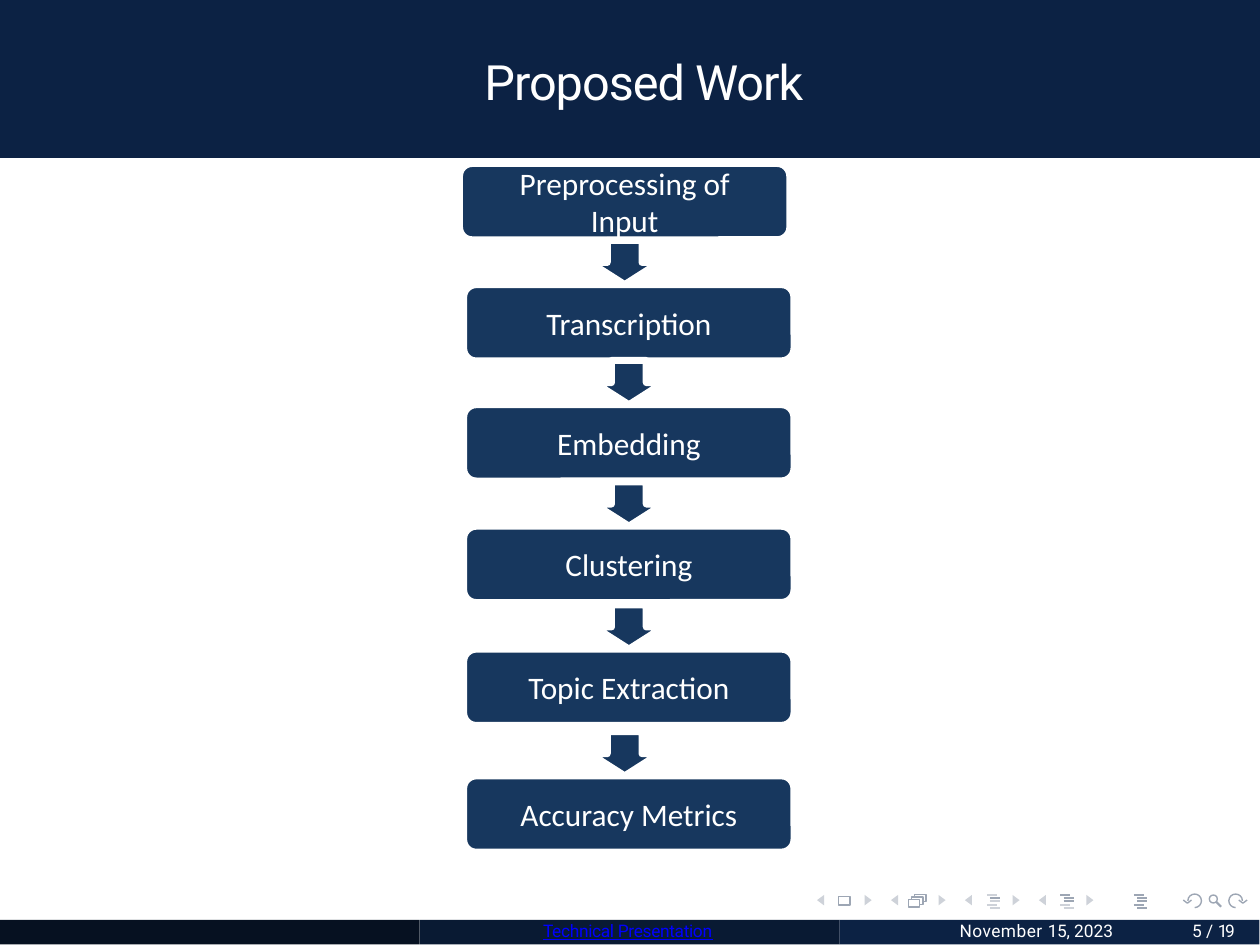
"""Build the "Proposed Work" slide: a six-step flowchart with a header, footer and navigation bar."""
import math
from dataclasses import dataclass

from lxml import etree
from pptx import Presentation
from pptx import util as u
from pptx.dml.color import RGBColor
from pptx.enum import shapes, text
from pptx.oxml.ns import qn

WHITE = RGBColor(0xFF, 0xFF, 0xFF)
NAVY = RGBColor(0x0C, 0x22, 0x44)
DEEP_NAVY = RGBColor(0x09, 0x1A, 0x33)
NIGHT = RGBColor(0x06, 0x11, 0x21)
STEP_BLUE = RGBColor(0x17, 0x37, 0x5E)
LINK_BLUE = RGBColor(0x00, 0x00, 0xFF)
NAV_DARK = RGBColor(0x9D, 0xA6, 0xB4)
NAV_LIGHT = RGBColor(0xCE, 0xD2, 0xD9)

WIDTH, HEIGHT = 363, 272.5
HEADER_H = 45.5
BAND_W, BAND_H = 120.95, 7.1
FOOTER_TOP = 265
BOX_W, BOX_H = 95.2, 22
ARROW_W, ARROW_H, ARROW_RISE = 20, 12.75, 12.75
NAV_TOP, NAV_PITCH, ROW_GAP = 257.8, 21.3, 0.93

Point = tuple[float, float]
Run = tuple[str, float]


@dataclass(frozen=True)
class Step:
    label: str
    top: float
    center: float = 181.2
    arrow_center: float = 181.2


@dataclass(frozen=True)
class FooterText:
    runs: list[Run]
    left: float
    width: float
    height: float = 5.76
    margin: float = 0.72
    color: RGBColor = WHITE
    underline: bool = False


@dataclass(frozen=True)
class ListIcon:
    left: float
    dark_rows: tuple[int, ...]


STEPS = [
    Step("Preprocessing of Input", 47.1, center=180),
    Step("Transcription", 82),
    Step("Embedding", 116.6),
    Step("Clustering", 151.6),
    Step("Topic Extraction", 187),
    Step("Accuracy Metrics", 223.5, arrow_center=180),
]
STEPS[1] = Step("Transcription", 82, arrow_center=180)
FOOTER_TEXTS = [
    FooterText([("Technical Presentation", -0.1)], 155.8, 52.56, 7.2,
               color=LINK_BLUE, underline=True),
    FooterText([("5 / ", 0), ("19", -0.7)], 340.56, 22.32, margin=2.88),
    FooterText([("November ", 0.1), ("15, ", -0.1), ("2023", 0)], 275.76, 49.68),
]
LIST_ICONS = [
    ListIcon(284.3, (1,)),
    ListIcon(305.5, (0, 1, 2)),
    ListIcon(326.7, (0, 1, 2, 3, 4)),
]
ROW_INDENTS = (0, 0.9, 0.9, 0, 0.9)


def write(tf, runs: list[Run], *, font: str, size: float, color: RGBColor,
          underline: bool = False, align=None, margin: float = 0, indent: float = 0,
          spacing=None, before: float = 0) -> None:
    """Fill the first paragraph of a text frame with formatted runs."""
    p = tf.paragraphs[0]
    p.alignment = align
    p.line_spacing = spacing
    p.space_before = u.Pt(before)
    pPr = p._p.get_or_add_pPr()
    pPr.set("marL", str(u.Pt(margin)))
    pPr.set("indent", str(u.Pt(indent)))
    for words, tracking in runs:
        r = p.add_run()
        r.text = words
        r.font.name, r.font.size = font, u.Pt(size)
        r.font.color.rgb = color
        r.font.underline = underline or None
        if tracking:
            r._r.get_or_add_rPr().set("spc", str(round(tracking * 100)))


def bare_frame(tf) -> None:
    """Remove insets and let the frame grow from its top."""
    tf.margin_left = tf.margin_right = tf.margin_top = tf.margin_bottom = 0
    tf.word_wrap = True
    tf.vertical_anchor = text.MSO_ANCHOR.TOP
    tf.auto_size = text.MSO_AUTO_SIZE.SHAPE_TO_FIT_TEXT


def paint(sp, fill: RGBColor | None, line: RGBColor | None, weight: float) -> None:
    """Set fill and outline, leaving out whichever has no colour."""
    sp.shadow.inherit = False
    if fill is None:
        sp.fill.background()
    else:
        sp.fill.solid()
        sp.fill.fore_color.rgb = fill
    if line is None:
        sp.line.fill.background()
    else:
        sp.line.color.rgb = line
        sp.line.width = u.Pt(weight)


def preset(parent, kind, left: float, top: float, width: float, height: float, *,
           fill: RGBColor | None = None, line: RGBColor | None = None, weight: float = 2):
    """Draw a preset shape."""
    sp = parent.add_shape(kind, u.Pt(left), u.Pt(top), u.Pt(width), u.Pt(height))
    paint(sp, fill, line, weight)
    return sp


def outline(parent, paths: list[list[Point]], *, fill: RGBColor | None = None,
            line: RGBColor | None = None) -> None:
    """Draw one freeform made of several paths."""
    scaled = [[(u.Pt(x), u.Pt(y)) for x, y in path] for path in paths]
    builder = parent.build_freeform(*scaled[0][0], scale=1.0)
    for i, path in enumerate(scaled):
        if i:
            builder.move_to(*path[0])
        builder.add_line_segments(path[1:], close=False)
    paint(builder.convert_to_shape(), fill, line, 0.4)


def stroke(parent, start: Point, end: Point, color: RGBColor) -> None:
    """Draw a thin straight line."""
    c = parent.add_connector(shapes.MSO_CONNECTOR.STRAIGHT, *map(u.Pt, start + end))
    c.line.color.rgb, c.line.width = color, u.Pt(0.6)
    etree.SubElement(c._element.spPr, qn("a:effectLst"))


def draw_navigation(parent) -> None:
    """Draw the row of navigation symbols."""
    mid, bottom = NAV_TOP + 1.5, NAV_TOP + 3
    for i in range(4):
        x = 235.4 + i * NAV_PITCH
        for base, tip in ((x + 2, x), (x + 13.7, x + 15.7)):
            triangle = [(base, NAV_TOP), (tip, mid), (base, bottom), (base, NAV_TOP)]
            outline(parent, [triangle], fill=NAV_LIGHT)
    for left, top, width, height in ((241.5, 258.3, 3.4, 2.4), (261.7, 259.2, 3.3, 2.1)):
        preset(parent, shapes.MSO_SHAPE.RECTANGLE, left, top, width, height,
               line=NAV_DARK, weight=0.4)
    sheet = [(262.6, 259.2), (262.6, 258.4), (265.9, 258.4), (265.9, 260.5), (265, 260.5)]
    outline(parent, [sheet, [(x + 0.9, y - 0.8) for x, y in sheet]], line=NAV_DARK)
    for icon in LIST_ICONS:
        for row, indent in enumerate(ROW_INDENTS):
            x, y = icon.left + indent, NAV_TOP + row * ROW_GAP
            stroke(parent, (x, y), (x + 2.9, y),
                   NAV_DARK if row in icon.dark_rows else NAV_LIGHT)
    preset(parent, shapes.MSO_SHAPE.OVAL, 348.4, NAV_TOP, 2.3, 2.3, line=NAV_DARK, weight=0.4)
    stroke(parent, (350.4, 259.8), (351.8, 261.2), NAV_DARK)
    turns = [math.radians(90 - 22.5 * k) for k in range(13)]
    undo = [[(344.2 + 1.95 * math.cos(a), 259.5 + 1.95 * math.sin(a)) for a in turns],
            [(343.3, 259.3), (342.1, 260.2), (340.9, 259.3)]]
    redo = [[(700.2 - x, y) for x, y in path] for path in undo]
    outline(parent, undo + redo, line=NAV_DARK)


def draw_title(s) -> None:
    """Draw the header band with the title over it."""
    preset(s.shapes, shapes.MSO_SHAPE.RECTANGLE, 0, 0, WIDTH, HEADER_H, fill=NAVY)
    title = s.shapes.title
    s.shapes._spTree.append(title._element)
    title.left, title.top, title.width, title.height = map(u.Pt, (13.5, 13.9, 334, 16.56))
    bare_frame(title.text_frame)
    write(title.text_frame, [("Proposed Work", -0.3)], font="Roboto", size=14, color=WHITE,
          align=text.PP_ALIGN.CENTER, margin=126, indent=-116, spacing=1.07, before=0.2)


def draw_footer(s) -> None:
    """Draw the three footer bands and their texts."""
    bands = s.shapes.add_group_shape().shapes
    for i, color in enumerate((NIGHT, DEEP_NAVY, NAVY)):
        preset(bands, shapes.MSO_SHAPE.RECTANGLE, i * BAND_W, FOOTER_TOP, BAND_W, BAND_H,
               fill=color)
    for item in FOOTER_TEXTS:
        tb = s.shapes.add_textbox(*map(u.Pt, (item.left, 265.2, item.width, item.height)))
        bare_frame(tb.text_frame)
        write(tb.text_frame, item.runs, font="Roboto", size=5, color=item.color,
              underline=item.underline, margin=item.margin, spacing=u.Pt(5.8))


def draw_flow(s) -> None:
    """Draw the steps, each after the first with an arrow leading to it."""
    flow = s.shapes.add_group_shape().shapes
    for i, step in enumerate(STEPS):
        if i:
            preset(flow, shapes.MSO_SHAPE.DOWN_ARROW, step.arrow_center - ARROW_W / 2,
                   step.top - ARROW_RISE, ARROW_W, ARROW_H, fill=STEP_BLUE, line=WHITE)
        box = preset(flow, shapes.MSO_SHAPE.ROUNDED_RECTANGLE, step.center - BOX_W / 2,
                     step.top, BOX_W, BOX_H, fill=STEP_BLUE, line=WHITE)
        write(box.text_frame, [(step.label, 0)], font="Calibri", size=9, color=WHITE,
              align=text.PP_ALIGN.CENTER)


prs = Presentation()
prs.slide_width, prs.slide_height = u.Pt(WIDTH), u.Pt(HEIGHT)
s = prs.slides.add_slide(prs.slide_layouts[5])
draw_navigation(s.shapes)
draw_title(s)
draw_footer(s)
draw_flow(s)
prs.save("out.pptx")
